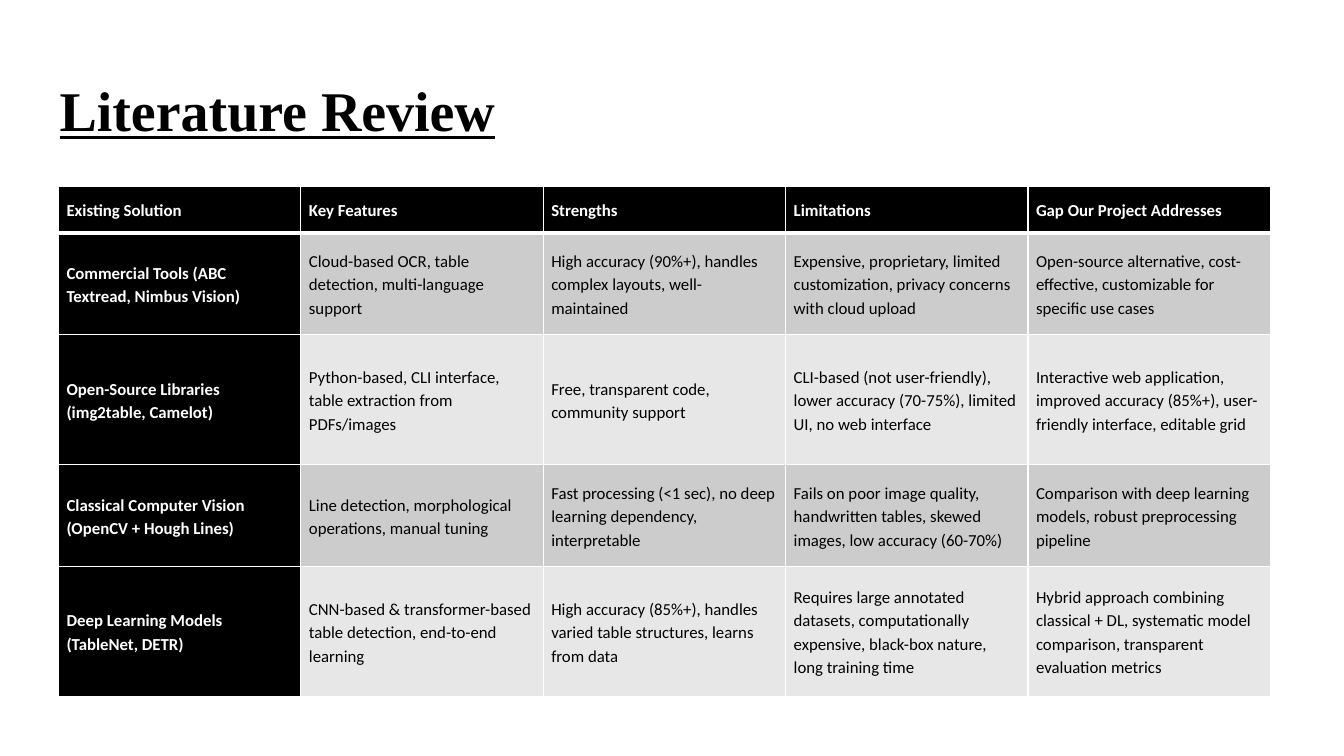
"""Build the literature review slide with its comparison table."""
from lxml import etree
from pptx import Presentation
from pptx.dml.color import RGBColor
from pptx.enum.text import MSO_ANCHOR, PP_ALIGN
from pptx.oxml.ns import qn
from pptx.util import Inches, Pt

MIDDLE = MSO_ANCHOR.MIDDLE
LEFT = PP_ALIGN.LEFT

TITLE = "Literature Review"
ROWS = [
    ("Existing Solution", "Key Features", "Strengths", "Limitations",
     "Gap Our Project Addresses"),
    ("Commercial Tools (ABC Textread, Nimbus Vision)",
     "Cloud-based OCR, table detection, multi-language support",
     "High accuracy (90%+), handles complex layouts, well-maintained",
     "Expensive, proprietary, limited customization, privacy concerns with cloud upload",
     "Open-source alternative, cost-effective, customizable for specific use cases"),
    ("Open-Source Libraries (img2table, Camelot)",
     "Python-based, CLI interface, table extraction from PDFs/images",
     "Free, transparent code, community support",
     "CLI-based (not user-friendly), lower accuracy (70-75%), limited UI, no web interface",
     "Interactive web application, improved accuracy (85%+), user-friendly interface, "
     "editable grid"),
    ("Classical Computer Vision (OpenCV + Hough Lines)",
     "Line detection, morphological operations, manual tuning",
     "Fast processing (<1 sec), no deep learning dependency, interpretable",
     "Fails on poor image quality, handwritten tables, skewed images, low accuracy (60-70%)",
     "Comparison with deep learning models, robust preprocessing pipeline"),
    ("Deep Learning Models (TableNet, DETR)",
     "CNN-based & transformer-based table detection, end-to-end learning",
     "High accuracy (85%+), handles varied table structures, learns from data",
     "Requires large annotated datasets, computationally expensive, black-box nature, "
     "long training time",
     "Hybrid approach combining classical + DL, systematic model comparison, "
     "transparent evaluation metrics"),
]
ROW_HEIGHTS = [0.46, 1.01, 1.29, 1.01, 1.29]
TABLE_LEFT, TABLE_TOP, TABLE_WIDTH = 0.58, 1.85, 12.02
CELL_INSET = Inches(0.08)
COLORS = {"black": "000000", "white": "FFFFFF", "dark_band": "CCCCCC", "light_band": "E7E7E7"}


def write_text(frame, text, *, size, font, color, line_spacing, space_after=0,
               underline=False, bold=False):
    """Put one formatted paragraph into a text frame."""
    frame.word_wrap = True
    para = frame.paragraphs[0]
    para.alignment = LEFT
    para.line_spacing = line_spacing
    para.space_before = Pt(0)
    para.space_after = Pt(space_after)
    span = para.add_run()
    span.text = text
    span.font.size = Pt(size)
    span.font.name = font
    span.font.bold = bold
    span.font.underline = underline
    span.font.color.rgb = RGBColor.from_string(COLORS[color])


def set_borders(cell, top, bottom):
    """Draw white cell borders with the given top and bottom widths in points."""
    properties = cell._tc.get_or_add_tcPr()
    for side, width in (("lnL", 1), ("lnR", 1), ("lnT", top), ("lnB", bottom)):
        line = etree.SubElement(properties, qn(f"a:{side}"), w=str(Pt(width)))
        fill = etree.SubElement(line, qn("a:solidFill"))
        etree.SubElement(fill, qn("a:srgbClr"), val=COLORS["white"])


def add_title(page):
    """Place and fill the title placeholder."""
    title = page.shapes.title
    title.left, title.top = Inches(0.49), Inches(0.4)
    title.width, title.height = Inches(11.93), Inches(1.45)
    title.text_frame.vertical_anchor = MIDDLE
    write_text(title.text_frame, TITLE, size=40, font="Times New Roman", color="black",
               line_spacing=0.9, underline=True, bold=True)


def add_review_table(page):
    """Add the table with a black header row, a black first column and grey bands."""
    column_count = len(ROWS[0])
    table = page.shapes.add_table(
        len(ROWS), column_count, Inches(TABLE_LEFT), Inches(TABLE_TOP),
        Inches(TABLE_WIDTH), Inches(sum(ROW_HEIGHTS))).table
    table.first_col = True
    for column in table.columns:
        column.width = Inches(TABLE_WIDTH / column_count)
    for row_index, texts in enumerate(ROWS):
        table.rows[row_index].height = Inches(ROW_HEIGHTS[row_index])
        band = "dark_band" if row_index % 2 else "light_band"
        for column_index, text in enumerate(texts):
            heading = row_index == 0 or column_index == 0
            cell = table.cell(row_index, column_index)
            cell.vertical_anchor = MIDDLE
            cell.margin_left = cell.margin_right = CELL_INSET
            cell.margin_top = cell.margin_bottom = CELL_INSET
            set_borders(cell, top=3 if row_index == 1 else 1, bottom=3 if row_index == 0 else 1)
            cell.fill.solid()
            cell.fill.fore_color.rgb = RGBColor.from_string(
                COLORS["black" if heading else band])
            write_text(cell.text_frame, text, size=12, font="Calibri",
                       color="white" if heading else "black", line_spacing=1.15,
                       space_after=8, bold=heading)


def main():
    """Create and save the deck."""
    deck = Presentation()
    deck.slide_width, deck.slide_height = Inches(13.33), Inches(7.5)
    page = deck.slides.add_slide(deck.slide_layouts[5])
    add_title(page)
    add_review_table(page)
    deck.save("out.pptx")


if __name__ == "__main__":
    main()
